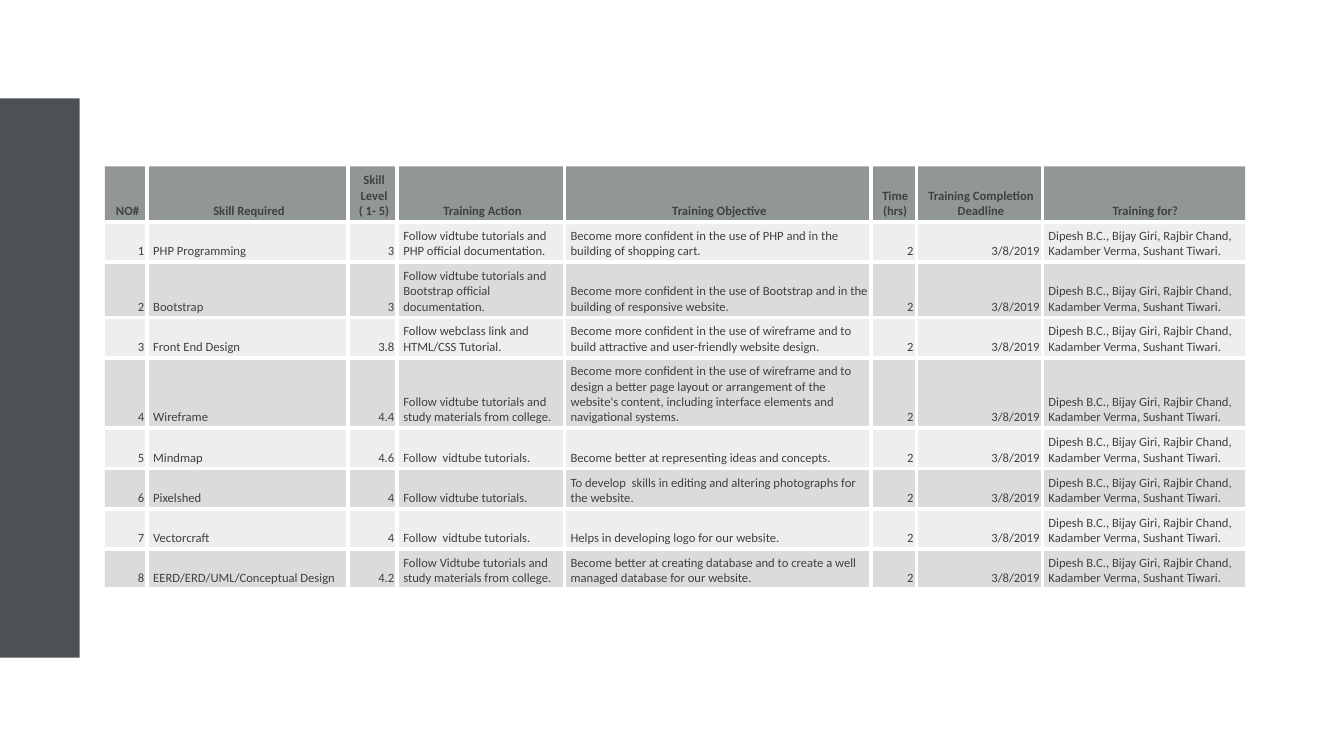
"""Build the training plan slide."""
from dataclasses import dataclass

from lxml.etree import SubElement as Sub, _Element as Node
from pptx import Presentation as Deck
from pptx.dml.color import RGBColor as Color
from pptx.enum.shapes import MSO_SHAPE as Kind
from pptx.enum.text import MSO_ANCHOR as Anchor, PP_ALIGN as Align
from pptx.oxml import parse_xml as xml
from pptx.oxml.ns import nsdecls, qn
from pptx.slide import Slide
from pptx.table import _Cell as Cell
from pptx.util import Inches, Pt

HUES = {"bar": "4C5254", "head": "636B68", "band": "878E8B",
        "text": "404040", "edge": "FFFFFF"}
WIDE, HIGH = Inches(13.333), Inches(7.5)
TEAM = "Dipesh B.C., Bijay Giri, Rajbir Chand, Kadamber Verma, Sushant Tiwari."
DATE = "3/8/2019"
HOURS = "2"


@dataclass
class Field:
    title: str
    width: float
    align: Align


@dataclass
class Skill:
    name: str
    level: str
    action: str
    goal: str
    lines: int = 2


FIELDS = [
    Field("NO#", 3.15, Align.RIGHT),
    Field("Skill Required", 14.93, Align.LEFT),
    Field("Skill Level\n( 1- 5)", 3.68, Align.RIGHT),
    Field("Training Action", 12.45, Align.LEFT),
    Field("Training Objective", 22.8, Align.LEFT),
    Field("Time (hrs)", 3.38, Align.RIGHT),
    Field("Training Completion Deadline", 9.38, Align.RIGHT),
    Field("Training for?", 15.08, Align.LEFT),
]

SKILLS = [
    Skill("PHP Programming", "3",
          "Follow vidtube tutorials and PHP official documentation.",
          "Become more confident in the use of PHP and in the building of "
          "shopping cart."),
    Skill("Bootstrap", "3",
          "Follow vidtube tutorials and Bootstrap official documentation.",
          "Become more confident in the use of Bootstrap and in the building "
          "of responsive website.", 3),
    Skill("Front End Design", "3.8",
          "Follow webclass link and HTML/CSS Tutorial.",
          "Become more confident in the use of wireframe and to build "
          "attractive and user-friendly website design."),
    Skill("Wireframe", "4.4",
          "Follow vidtube tutorials and study materials from college.",
          "Become more confident in the use of wireframe and to design a "
          "better page layout or arrangement of the website's content, "
          "including interface elements and navigational systems.", 4),
    Skill("Mindmap", "4.6", "Follow  vidtube tutorials.",
          "Become better at representing ideas and concepts."),
    Skill("Pixelshed", "4", "Follow vidtube tutorials.",
          "To develop  skills in editing and altering photographs for the "
          "website."),
    Skill("Vectorcraft", "4", "Follow  vidtube tutorials.",
          "Helps in developing logo for our website."),
    Skill("EERD/ERD/UML/Conceptual Design", "4.2",
          "Follow Vidtube tutorials and study materials from college.",
          "Become better at creating database and to create a well managed "
          "database for our website."),
]


def across(share: float) -> int:
    return round(WIDE * share / 100)


def down(share: float) -> int:
    return round(HIGH * share / 100)


def tall(lines: int) -> int:
    return down(1.33 + 2 * lines)


def edge(side: str, shown: bool) -> Node:
    line = xml(f'<a:ln{side} {nsdecls("a")} w="{Pt(3)}"/>')
    if shown:
        fill = Sub(line, qn("a:solidFill"))
        Sub(fill, qn("a:srgbClr"), val=HUES["edge"])
    else:
        Sub(line, qn("a:noFill"))
    return line


def tint(cell: Cell, hue: str, share: int) -> None:
    cell.fill.solid()
    cell.fill.fore_color.rgb = Color.from_string(HUES[hue])
    props = cell._tc.get_or_add_tcPr()
    shade = props.find(".//" + qn("a:srgbClr"))
    Sub(shade, qn("a:alpha"), val=str(share * 1000))


def frame(cell: Cell, row: int, col: int) -> None:
    props = cell._tc.get_or_add_tcPr()
    sides = {"L": col > 0, "R": col < len(FIELDS) - 1, "T": row > 0, "B": True}
    for spot, (side, shown) in enumerate(sides.items()):
        props.insert(spot, edge(side, shown))


def write(cell: Cell, text: str, align: Align, bold: bool) -> None:
    cell.vertical_anchor = Anchor.BOTTOM
    cell.margin_left = Inches(0.06)
    cell.margin_right = cell.margin_top = cell.margin_bottom = Inches(0.03)
    body = cell.text_frame
    for spot, part in enumerate(text.split("\n")):
        para = body.add_paragraph() if spot else body.paragraphs[0]
        para.alignment = align
        run = para.add_run()
        run.text = part
        run.font.name, run.font.size, run.font.bold = "Calibri", Pt(9), bold
        run.font.color.rgb = Color.from_string(HUES["text"])


def add_bar(slide: Slide) -> None:
    bar = slide.shapes.add_shape(Kind.RECTANGLE, 0, down(13),
                                 across(5.93), down(74))
    bar.shadow.inherit = False
    bar.fill.solid()
    bar.fill.fore_color.rgb = Color.from_string(HUES["bar"])
    bar.line.fill.background()


def add_plan(slide: Slide) -> None:
    rows = [[field.title for field in FIELDS]]
    rows += [[str(num), skill.name, skill.level, skill.action, skill.goal,
              HOURS, DATE, TEAM] for num, skill in enumerate(SKILLS, 1)]
    highs = [tall(lines) for lines in [3] + [skill.lines for skill in SKILLS]]
    wides = [across(field.width) for field in FIELDS]
    plan = slide.shapes.add_table(len(rows), len(FIELDS), across(7.8),
                                  down(22), sum(wides), sum(highs)).table
    for col, wide in enumerate(wides):
        plan.columns[col].width = wide
    for row, texts in enumerate(rows):
        plan.rows[row].height = highs[row]
        head = row == 0
        share = 70 if head else 15 if row % 2 else 30
        for col, text in enumerate(texts):
            cell = plan.cell(row, col)
            align = Align.CENTER if head else FIELDS[col].align
            write(cell, text, align, head)
            tint(cell, "head" if head else "band", share)
            frame(cell, row, col)


def main() -> None:
    deck = Deck()
    deck.slide_width, deck.slide_height = WIDE, HIGH
    slide = deck.slides.add_slide(deck.slide_layouts[6])
    add_bar(slide)
    add_plan(slide)
    deck.save("out.pptx")


if __name__ == "__main__":
    main()
